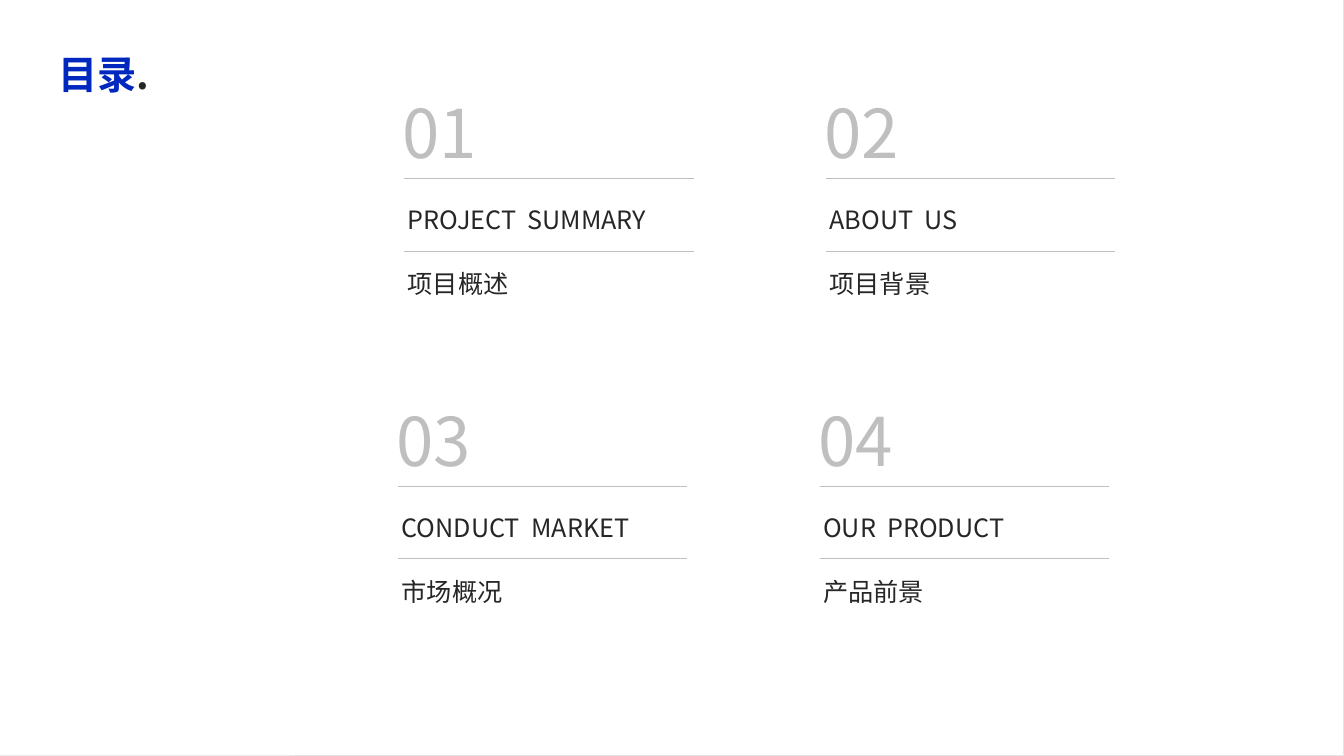
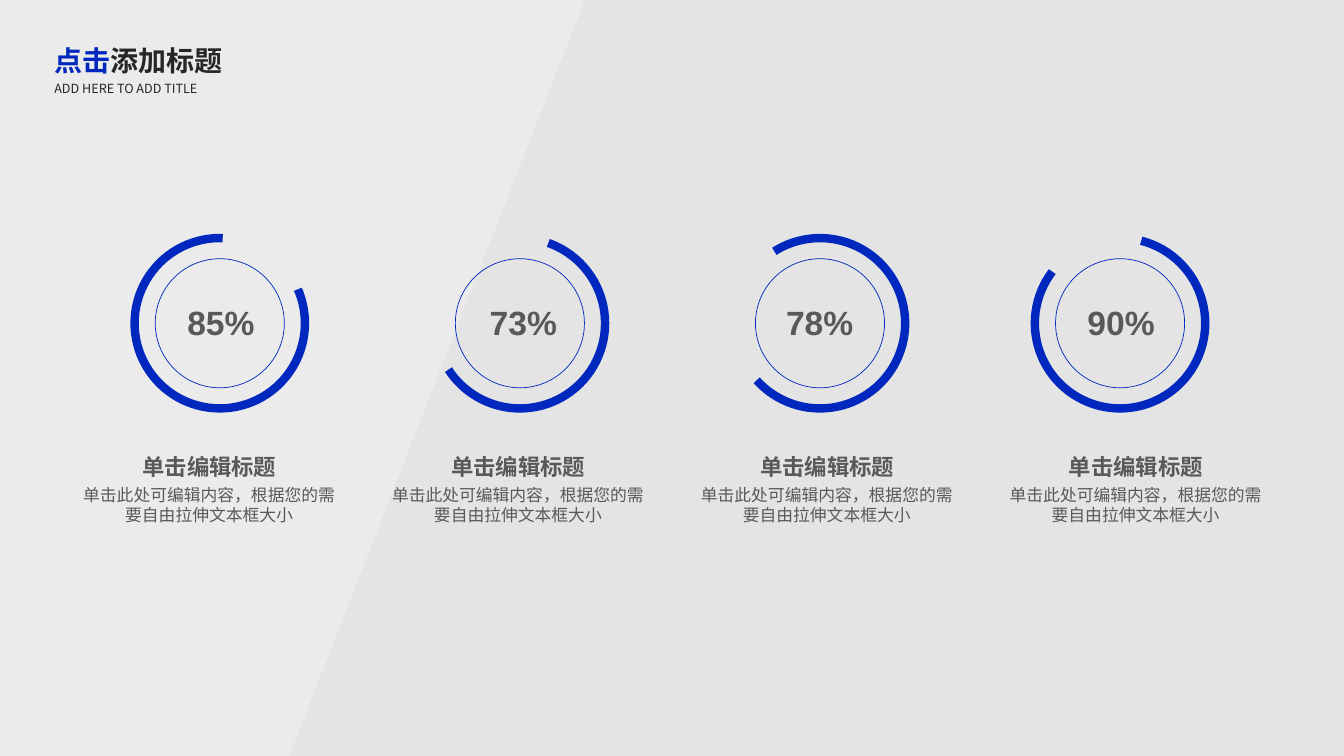
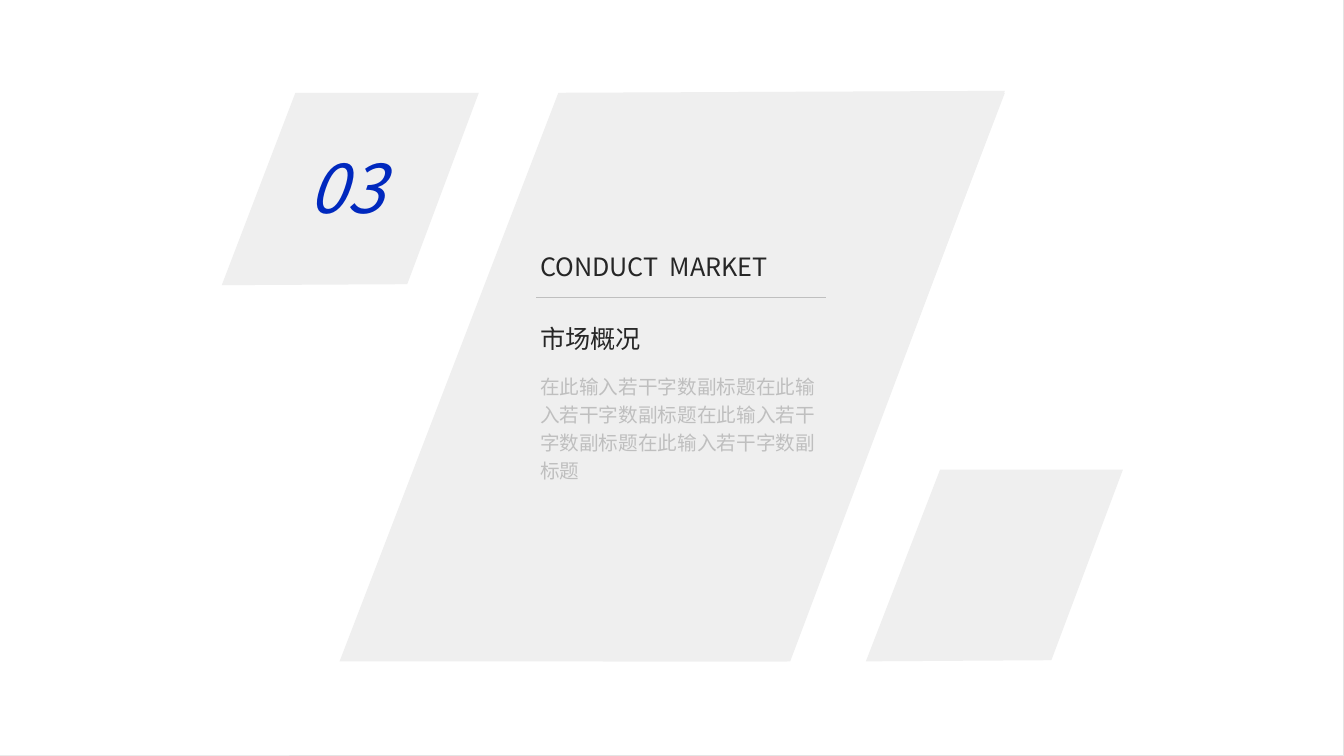
"""Build a contents slide, a gauge slide and a section slide in one shared style."""
from dataclasses import dataclass, replace
from typing import Any

import lxml.etree
import pptx
import pptx.dml.color
import pptx.enum.shapes
import pptx.enum.text
import pptx.oxml
import pptx.oxml.ns
import pptx.util

Pt = pptx.util.Pt
qn = pptx.oxml.ns.qn
Align = pptx.enum.text.PP_ALIGN
Preset = pptx.enum.shapes.MSO_SHAPE

COLORS: dict[str, str] = {
    "blue": "0028BE", "ink": "262626", "body": "595959", "muted": "BFBFBF",
    "panel": "EFEFEF", "backdrop": "E4E4E4", "wedge": "F1F1F1", "white": "FFFFFF",
}
CJK = "Noto Sans CJK SC"
SLIDE_W, SLIDE_H = 960, 540
TITLE_ONLY = 5
WORD_GAP = "400"


@dataclass(frozen=True)
class Style:
    size: float
    color: str = "ink"
    font: str = CJK
    bold: bool = False
    italic: bool = False
    align: Any = Align.LEFT
    leading: float = 1.0


@dataclass(frozen=True)
class Box:
    x: float
    y: float
    w: float
    h: float

    def emu(self) -> list[int]:
        return [Pt(value) for value in (self.x, self.y, self.w, self.h)]


@dataclass(frozen=True)
class Chapter:
    number: str
    english: str
    chinese: str


@dataclass(frozen=True)
class Gauge:
    value: str
    value_x: float
    start: float
    end: float


TITLE = Style(28, "blue", bold=True)
NUMBER = Style(48, "muted", align=Align.CENTER)
HEADING = Style(18, leading=1.2)
VALUE = Style(24, "body", "Arial", bold=True)
CAPTION_HEAD = Style(16, "body", "Arial", bold=True, align=Align.CENTER)
CAPTION_BODY = Style(12, "body", "Arial", align=Align.CENTER)

CHAPTERS = [
    Chapter("01", "PROJECT SUMMARY", "项目概述"),
    Chapter("02", "ABOUT US", "项目背景"),
    Chapter("03", "CONDUCT MARKET", "市场概况"),
    Chapter("04", "OUR PRODUCT", "产品前景"),
]
GAUGES = [
    Gauge("85%", 126.7, 336.5, 272),
    Gauge("73%", 342.7, 289.5, 147),
    Gauge("78%", 554.4, 237.6, 138),
    Gauge("90%", 769.7, 284.4, 217.3),
]
PANELS = [
    [(158.4, 203.7), (211, 66.3), (342, 66.3), (290.9, 203)],
    [(618.5, 472.4), (671.5, 335.5), (802.1, 335.5), (751, 471.6)],
    [(242.6, 472.4), (398.9, 66.3), (717.8, 64.9), (564.5, 472.4)],
    [(430.6, 472.4), (587.5, 66.3), (717.8, 66.3), (562.3, 472.4)],
]
WEDGE = [(418.3, -1.4), (206.6, 540), (-0.7, 540), (-0.7, -1.4)]


def rgb(name: str) -> Any:
    """Look up a named colour."""
    return pptx.dml.color.RGBColor.from_string(COLORS[name])


def write(paragraph: Any, style: Style, *pieces: tuple[str, str]) -> None:
    """Write text and colour pieces into a paragraph."""
    paragraph.alignment = style.align
    paragraph.line_spacing = style.leading
    for text, color in pieces:
        run = paragraph.add_run()
        run.text = text
        run.font.size = Pt(style.size)
        run.font.bold = style.bold
        run.font.italic = style.italic
        run.font.name = style.font
        run.font.color.rgb = rgb(color)
        properties = run._r.get_or_add_rPr()
        lxml.etree.SubElement(properties, qn("a:ea")).set("typeface", CJK)
        if text == " ":
            properties.set("spc", WORD_GAP)


def add_text(slide: Any, box: Box, style: Style, text: str = "",
             inset: bool = True, wrap: bool = True) -> Any:
    """Add a text box and return its frame."""
    frame = slide.shapes.add_textbox(*box.emu()).text_frame
    frame.word_wrap = wrap
    if not inset:
        frame.margin_left = frame.margin_right = Pt(0)
        frame.margin_top = frame.margin_bottom = Pt(0)
    if text:
        write(frame.paragraphs[0], style, (text, style.color))
    return frame


def place_title(slide: Any, box: Box) -> Any:
    """Move the title placeholder and return its frame."""
    title = slide.shapes.title
    title.left, title.top, title.width, title.height = box.emu()
    frame = title.text_frame
    frame.word_wrap = True
    frame.auto_size = pptx.enum.text.MSO_AUTO_SIZE.NONE
    frame.vertical_anchor = pptx.enum.text.MSO_ANCHOR.TOP
    return frame


def write_chapter(frame: Any, chapter: Chapter, gap: float) -> None:
    """Write the English heading above the Chinese one."""
    first, second = chapter.english.split(" ")
    write(frame.paragraphs[0], HEADING, (first, "ink"), (" ", "ink"), (second, "ink"))
    chinese = frame.add_paragraph()
    write(chinese, HEADING, (chapter.chinese, "ink"))
    chinese.space_before = Pt(gap)


def add_rule(slide: Any, x: float, y: float) -> None:
    """Add a thin horizontal rule."""
    rule = slide.shapes.add_connector(
        pptx.enum.shapes.MSO_CONNECTOR.STRAIGHT, Pt(x), Pt(y), Pt(x + 206.8), Pt(y))
    rule.line.color.rgb = rgb("muted")
    rule.line.width = Pt(0.5)
    lxml.etree.SubElement(rule._element.spPr, qn("a:effectLst"))


def fill_plain(shape: Any, color: str) -> None:
    """Fill a shape without outline or shadow."""
    shape.shadow.inherit = False
    shape.fill.solid()
    shape.fill.fore_color.rgb = rgb(color)
    shape.line.fill.background()


def add_panel(slide: Any, corners: list[tuple[float, float]], color: str) -> Any:
    """Add a filled polygon."""
    points = [(Pt(x), Pt(y)) for x, y in corners]
    builder = slide.shapes.build_freeform(*points[0], scale=1.0)
    builder.add_line_segments(points[1:], close=True)
    panel = builder.convert_to_shape()
    fill_plain(panel, color)
    return panel


def add_outline(slide: Any, preset: Any, center: tuple[float, float],
                diameter: float, weight: float) -> Any:
    """Add an unfilled blue round shape about a centre."""
    x, y = (value - diameter / 2 for value in center)
    outline = slide.shapes.add_shape(preset, *Box(x, y, diameter, diameter).emu())
    outline.shadow.inherit = False
    outline.fill.background()
    outline.line.color.rgb = rgb("blue")
    outline.line.width = Pt(weight)
    return outline


def add_cover(slide: Any) -> None:
    """Cover the shared backdrop with white."""
    cover = slide.shapes.add_shape(
        Preset.RECTANGLE, *Box(-0.72, -0.72, SLIDE_W, SLIDE_H).emu())
    fill_plain(cover, "white")
    slide.shapes._spTree.insert(2, cover._element)


def set_backdrop(deck: Any, slide: Any) -> None:
    """Put the grey backdrop and pale wedge on the shared master and layout."""
    fill = deck.slide_master.background.fill
    fill.solid()
    fill.fore_color.rgb = rgb("backdrop")
    wedge = add_panel(slide, WEDGE, "wedge")._element
    tint = wedge.spPr.find(qn("a:solidFill")).find(qn("a:srgbClr"))
    lxml.etree.SubElement(tint, qn("a:alpha")).set("val", "54000")
    slide.slide_layout.shapes._spTree.insert(2, wedge)


def fill_contents(slide: Any) -> None:
    """Fill the contents slide."""
    add_cover(slide)
    frame = place_title(slide, Box(34.6, 32.4, 126, 43.2))
    write(frame.paragraphs[0], TITLE, ("目录", "blue"), (".", "ink"))
    for index, chapter in enumerate(CHAPTERS):
        row, column = divmod(index, 2)
        x = 270 + column * 301.2 - row * 4.4
        y = 61.9 + row * 219.8
        heading = add_text(slide, Box(x + 14.2, y + 76.3, 239, 79.2), HEADING)
        write_chapter(heading, chapter, 20)
        add_text(slide, Box(x, y, 88.6, 67.7), NUMBER, chapter.number)
        for offset in (65.5, 117.4):
            add_rule(slide, x + 18.7, y + offset)


def fill_gauges(slide: Any) -> None:
    """Fill the gauge slide."""
    frame = place_title(slide, Box(31.7, 27.4, 144.7, 33.1))
    write(frame.paragraphs[0], replace(TITLE, size=20),
          ("点击", "blue"), ("添加标题", "ink"))
    add_text(slide, Box(31.7, 54, 133.2, 18), Style(9), "ADD HERE TO ADD TITLE")
    for index, gauge in enumerate(GAUGES):
        center = (157 + index * 214.35, 230.9)
        add_outline(slide, Preset.OVAL, center, 92.2, 0.5)
        arc = add_outline(slide, Preset.ARC, center, 121.7, 6)
        for position, degrees in enumerate((gauge.start, gauge.end)):
            arc.adjustments[position] = degrees * 0.6
        add_text(slide, Box(gauge.value_x, 212.4, 63.4, 36.7), VALUE,
                 gauge.value, wrap=False)
        x = 57.6 + index * 220.6
        add_text(slide, Box(x, 324, 184, 19.4), CAPTION_HEAD,
                 "单击编辑标题", inset=False)
        add_text(slide, Box(x, 346.3, 183.6, 28.8), CAPTION_BODY,
                 "单击此处可编辑内容，根据您的需要自由拉伸文本框大小", inset=False)


def fill_section(slide: Any, chapter: Chapter) -> None:
    """Fill the section slide."""
    for corners in reversed(PANELS):
        panel = add_panel(slide, corners, "panel")
        slide.shapes._spTree.insert(2, panel._element)
    add_cover(slide)
    write_chapter(place_title(slide, Box(378.7, 171.4, 219.6, 85)), chapter, 26)
    add_rule(slide, 383.2, 212.4)
    add_text(slide, Box(378.7, 260.6, 211.7, 108), Style(14, "muted", leading=1.2),
             "在此输入若干字数副标题" * 4)
    add_text(slide, Box(203, 100.8, 88.6, 67.7),
             replace(NUMBER, color="blue", italic=True), chapter.number)


def main() -> None:
    """Build and save the deck."""
    deck = pptx.Presentation()
    deck.slide_width, deck.slide_height = Pt(SLIDE_W), Pt(SLIDE_H)
    layout = deck.slide_layouts[TITLE_ONLY]
    contents, gauges, section = (deck.slides.add_slide(layout) for _ in range(3))
    set_backdrop(deck, contents)
    fill_contents(contents)
    fill_gauges(gauges)
    fill_section(section, CHAPTERS[2])
    deck.save("out.pptx")


if __name__ == "__main__":
    main()
